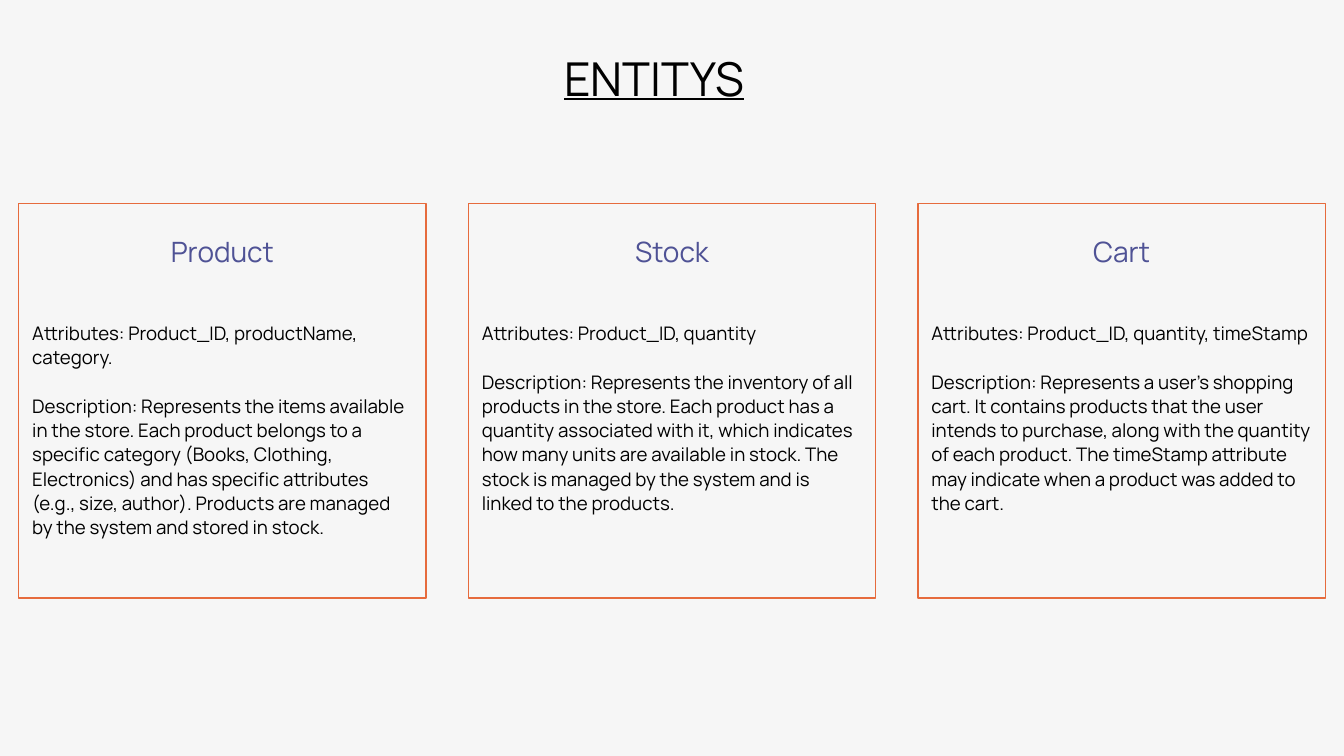
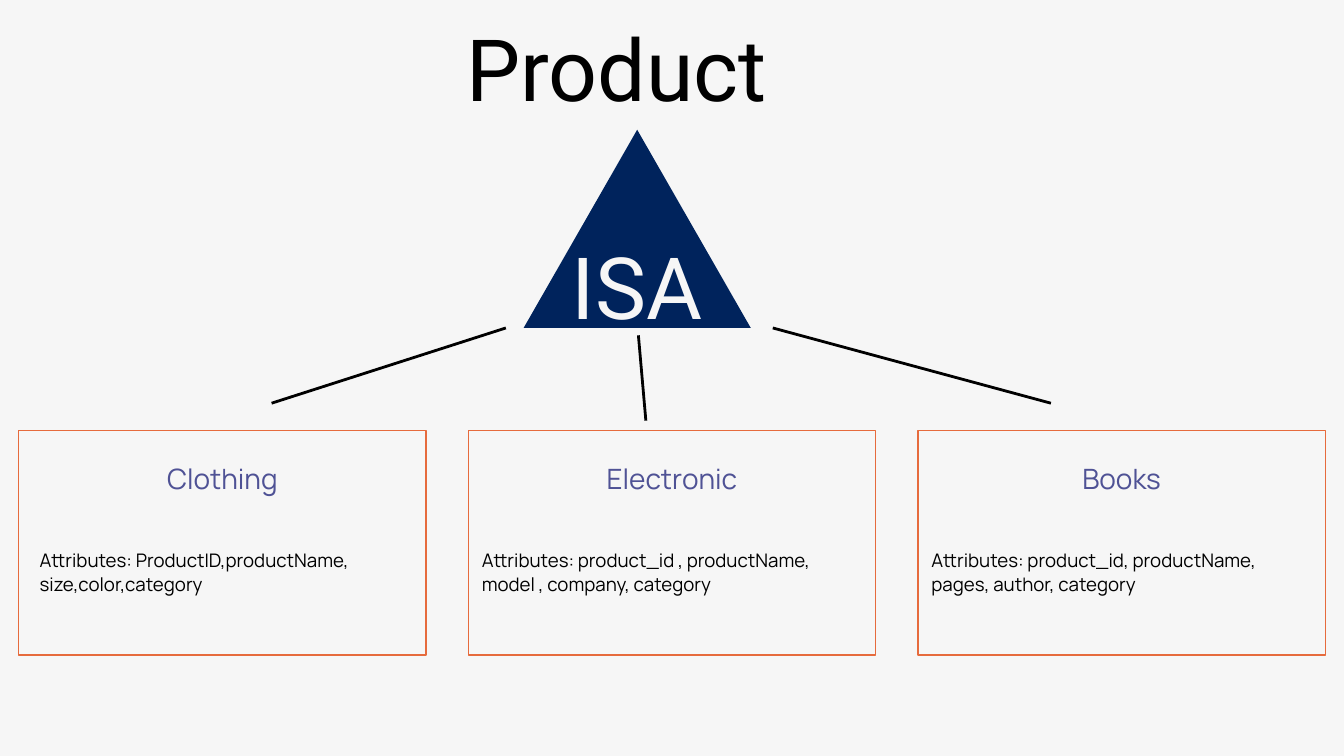
from dataclasses import dataclass

from lxml import etree
from pptx import Presentation
from pptx.dml.color import RGBColor
from pptx.enum import shapes, text
from pptx.oxml import ns
from pptx.util import Pt

SLIDE_W, SLIDE_H = 1440, 810
CARD_W, CARD_MARGIN, CARD_PAD = 436.4, 20.1, 14.4
HEADING_DROP, BODY_DROP = 30.3, 124.8
CENTER, LEFT = text.PP_ALIGN.CENTER, text.PP_ALIGN.LEFT


@dataclass(frozen=True)
class Style:
    font: str
    size: float
    leading: float
    color: str
    align: text.PP_ALIGN = CENTER
    underline: bool = False
    gap: float = 0


class Theme:
    background = "F6F6F6"
    frame = "E66B3D"
    triangle = "00235C"
    link = "000000"
    frame_width = 1.4
    link_width = 3
    title = Style("Manrope", 50, 65, "000000", underline=True)
    heading = Style("Manrope", 30, 39, "4F5295")
    body = Style("Manrope", 20, 26, "000000", LEFT, gap=26)
    lines = Style("Manrope", 20, 26, "000000", LEFT)
    root = Style("Roboto", 92, 128.8, "000000")
    relation = Style("Roboto", 92, 128.8, "F6F6F6")


def rgb(value):
    return RGBColor.from_string(value)


def add_slide(prs):
    slide = prs.slides.add_slide(prs.slide_layouts[6])
    slide.background.fill.solid()
    slide.background.fill.fore_color.rgb = rgb(Theme.background)
    return slide


def add_text(slide, left, top, width, height, paragraphs, style):
    box = slide.shapes.add_textbox(Pt(left), Pt(top), Pt(width), Pt(height))
    tf = box.text_frame
    tf.word_wrap = True
    tf.margin_left = tf.margin_right = tf.margin_top = tf.margin_bottom = 0
    tf.text = "\n".join(paragraphs)
    for i, p in enumerate(tf.paragraphs):
        p.alignment = style.align
        p.line_spacing = Pt(style.leading)
        if i and style.gap:
            p.space_before = Pt(style.gap)
        for r in p.runs:
            r.font.name = style.font
            r.font.size = Pt(style.size)
            r.font.color.rgb = rgb(style.color)
            if style.underline:
                r.font.underline = True


def add_card(slide, left, top, height, heading, paragraphs, style, indent=0):
    sp = slide.shapes.add_shape(shapes.MSO_SHAPE.RECTANGLE,
                                Pt(left), Pt(top), Pt(CARD_W), Pt(height))
    sp.shadow.inherit = False
    sp.fill.background()
    sp.line.color.rgb = rgb(Theme.frame)
    sp.line.width = Pt(Theme.frame_width)

    inner_left, inner_w = left + CARD_PAD, CARD_W - 2 * CARD_PAD
    add_text(slide, inner_left, top + HEADING_DROP, inner_w, 38,
             [heading], Theme.heading)
    add_text(slide, inner_left + indent, top + BODY_DROP, inner_w - indent,
             height - BODY_DROP - HEADING_DROP, paragraphs, style)


def add_card_row(slide, top, height, cards):
    """Spread the cards evenly between the side margins."""
    pitch = (SLIDE_W - 2 * CARD_MARGIN - CARD_W) / (len(cards) - 1)
    for i, card in enumerate(cards):
        add_card(slide, CARD_MARGIN + i * pitch, top, height, *card)


def add_triangle(slide, left, top, width, height):
    sp = slide.shapes.add_shape(shapes.MSO_SHAPE.ISOSCELES_TRIANGLE,
                                Pt(left), Pt(top), Pt(width), Pt(height))
    sp.shadow.inherit = False
    sp.fill.solid()
    sp.fill.fore_color.rgb = rgb(Theme.triangle)
    sp.line.fill.background()


def add_link(slide, x1, y1, x2, y2):
    link = slide.shapes.add_connector(shapes.MSO_CONNECTOR.STRAIGHT,
                                      Pt(x1), Pt(y1), Pt(x2), Pt(y2))
    link.line.color.rgb = rgb(Theme.link)
    link.line.width = Pt(Theme.link_width)
    etree.SubElement(link._element.spPr, ns.qn("a:effectLst"))


def build_entities(prs):
    slide = add_slide(prs)
    add_card_row(slide, 218.1, 422.7, [
        ("Product", [
            "Attributes: Product_ID, productName, category.",
            "Description: Represents the items available in the store. Each "
            "product belongs to a specific category (Books, Clothing, "
            "Electronics) and has specific attributes (e.g., size, author). "
            "Products are managed by the system and stored in stock.",
        ], Theme.body),
        ("Stock", [
            "Attributes: Product_ID, quantity",
            "Description: Represents the inventory of all products in the "
            "store. Each product has a quantity associated with it, which "
            "indicates how many units are available in stock. The stock is "
            "managed by the system and is linked to the products.",
        ], Theme.body),
        ("Cart", [
            "Attributes: Product_ID, quantity, timeStamp",
            "Description: Represents a user's shopping cart. It contains "
            "products that the user intends to purchase, along with the "
            "quantity of each product. The timeStamp attribute may indicate "
            "when a product was added to the cart.",
        ], Theme.body),
    ])
    add_text(slide, 582, 48, 238, 66, ["ENTITYS"], Theme.title)


def build_product_hierarchy(prs):
    slide = add_slide(prs)
    # Subtypes
    add_card_row(slide, 461.4, 240.5, [
        ("Clothing", ["Attributes: ProductID,productName,",
                      "size,color,category"], Theme.lines, 8),
        ("Electronic", ["Attributes: product_id , productName, "
                        "model , company, category"], Theme.body),
        ("Books", ["Attributes: product_id, productName, "
                   "pages, author, category"], Theme.body),
    ])
    # Supertype and relation
    add_triangle(slide, 561, 139, 243.4, 212.4)
    add_text(slide, 561, 232, 243.4, 120, ["ISA"], Theme.relation)
    add_text(slide, 457.2, -2, 406.8, 123, ["Product"], Theme.root)
    # Links from the relation to the subtypes
    for ends in [(291, 432, 542, 351.4),
                 (692, 450.7, 684, 359.3),
                 (828, 351.4, 1126, 432)]:
        add_link(slide, *ends)


def main():
    prs = Presentation()
    prs.slide_width, prs.slide_height = Pt(SLIDE_W), Pt(SLIDE_H)
    build_entities(prs)
    build_product_hierarchy(prs)
    prs.save("out.pptx")


if __name__ == "__main__":
    main()
